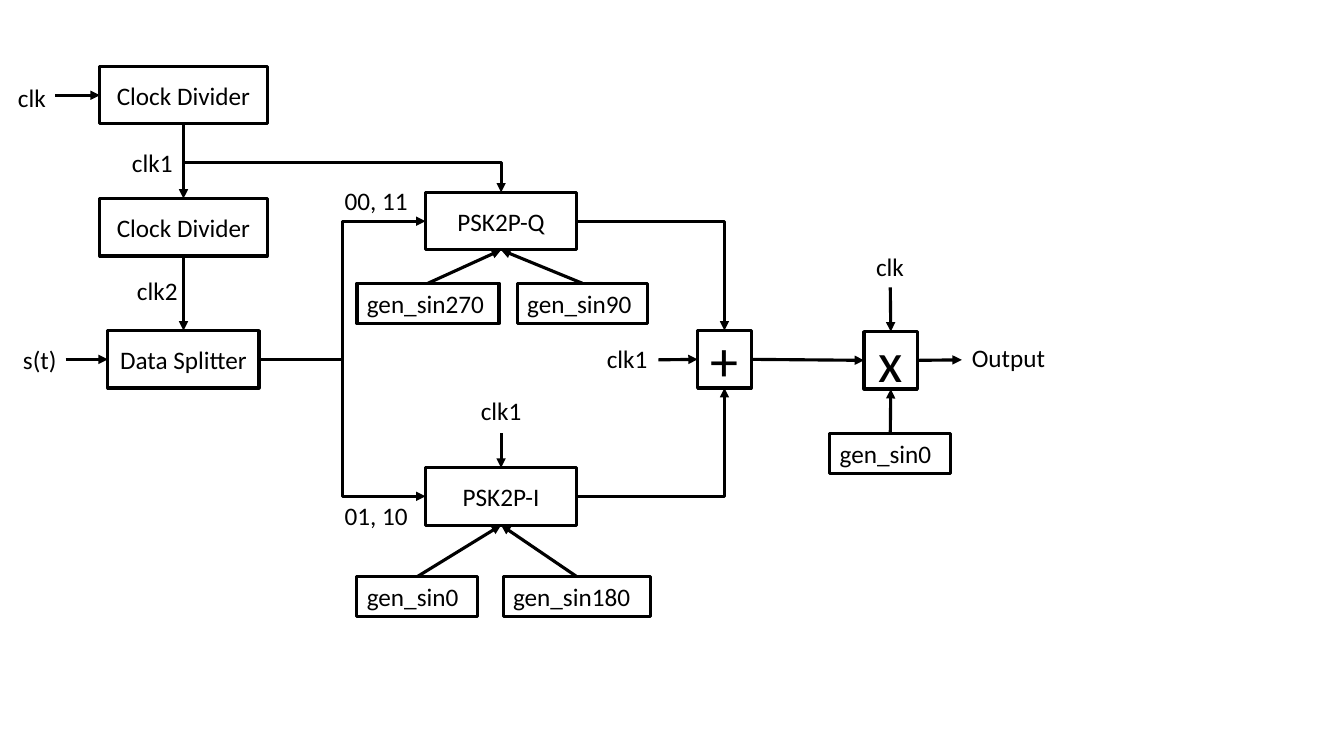
from lxml.etree import SubElement as Sub
from pptx import Presentation
from pptx.dml.color import RGBColor as Rgb
from pptx.enum.shapes import MSO_CONNECTOR as Kind, MSO_SHAPE as Form
from pptx.enum.text import MSO_ANCHOR as Anchor, MSO_AUTO_SIZE as Auto, PP_ALIGN as Align
from pptx.oxml.ns import qn
from pptx.util import Inches, Pt

HUES = {"ink": "000000", "paper": "FFFFFF"}
CELL = Inches(0.1)
TOP, LEFT, BASE, RIGHT = range(4)
SIDES = {TOP: (0.5, 0), LEFT: (0, 0.5), BASE: (0.5, 1), RIGHT: (1, 0.5)}
HIGH, LOW = 5.7, 4


def hue(name):
    return Rgb.from_string(HUES[name])


def grid(*cells):
    return [round(cell * CELL) for cell in cells]


def pen(line):
    line.color.rgb = hue("ink")
    line.width = Pt(2.25)


def write(frame, text, size=18, align=Align.LEFT):
    para = frame.paragraphs[0]
    para.text = text
    para.alignment = align
    para.font.name = "Calibri"
    para.font.size = Pt(size)
    para.font.color.rgb = hue("ink")


def block(slide, text, col, row, wide, size=18):
    box = slide.shapes.add_shape(Form.RECTANGLE, *grid(col, row, wide, HIGH))
    box.shadow.inherit = False
    box.fill.solid()
    box.fill.fore_color.rgb = hue("paper")
    pen(box.line)
    box.text_frame.vertical_anchor = Anchor.MIDDLE
    write(box.text_frame, text, size, Align.CENTER)
    return box


def label(slide, text, col, row, wide, wrap=False):
    box = slide.shapes.add_textbox(*grid(col, row, wide, LOW))
    box.text_frame.word_wrap = wrap
    box.text_frame.auto_size = Auto.SHAPE_TO_FIT_TEXT
    write(box.text_frame, text)
    return box


def tag(slide, text, col, row, wide):
    box = label(slide, text, col, row, wide, True)
    pen(box.line)
    return box


def spot(end):
    if isinstance(end[0], (int, float)):
        return grid(*end)
    box, side = end
    across, down = SIDES[side]
    return [round(box.left + across * box.width), round(box.top + down * box.height)]


def arrow(slide, start, stop, kind=Kind.STRAIGHT, form=None):
    link = slide.shapes.add_connector(kind, *spot(start), *spot(stop))
    for end, join in ((start, link.begin_connect), (stop, link.end_connect)):
        if not isinstance(end[0], (int, float)):
            join(*end)
    pen(link.line)
    props = link._element.spPr
    Sub(props.find(qn("a:ln")), qn("a:tailEnd"), type="triangle")
    Sub(props, qn("a:effectLst"))
    if form:
        props.find(qn("a:prstGeom")).set("prst", form)


def bend(slide, start, stop):
    arrow(slide, start, stop, Kind.ELBOW, "bentConnector2")


def main():
    deck = Presentation()
    deck.slide_width, deck.slide_height = Inches(13.33), Inches(7.5)
    slide = deck.slides.add_slide(deck.slide_layouts[6])

    first = block(slide, "Clock Divider", 9.9, 6.6, 16.6)
    second = block(slide, "Clock Divider", 9.9, 19.7, 16.6)
    split = block(slide, "Data Splitter", 10.7, 32.8, 15)
    quad = block(slide, "PSK2P-Q", 42.2, 19.1, 15)
    phase = block(slide, "PSK2P-I", 42.2, 46.4, 15)
    plus = block(slide, "+", 69.2, 32.8, 5.3, 40)
    times = block(slide, "x", 85.7, 32.9, 5.3, 40)

    tags = [
        ("gen_sin270", 35.4, 28.1, 14.1, TOP, quad),
        ("gen_sin90", 51.3, 28.1, 12.9, TOP, quad),
        ("gen_sin0", 35.4, 57.2, 12, TOP, phase),
        ("gen_sin180", 49.9, 57.2, 14.6, TOP, phase),
        ("gen_sin0", 82.3, 43, 12, TOP, times),
    ]
    for text, col, row, wide, side, goal in tags:
        arrow(slide, (tag(slide, text, col, row, wide), side), (goal, BASE))

    for text, col, row, wide, wrap in [
        ("clk", 0.8, 7.7, 4.8, False),
        ("clk1", 12.1, 14.1, 6.1, False),
        ("clk2", 12.6, 26.8, 6.1, False),
        ("s(t)", 1.3, 33.7, 5.4, False),
        ("00, 11", 33.2, 17.9, 9, True),
        ("01, 10", 33.2, 49.1, 9, True),
        ("clk1", 46.7, 38.7, 6.1, False),
        ("clk1", 59.2, 33.6, 6.1, True),
        ("clk", 85.9, 24.4, 4.8, False),
        ("Output", 95.4, 33.5, 9.4, False),
    ]:
        label(slide, text, col, row, wide, wrap)

    for start, stop in [
        ((5.5, 9.45), (first, LEFT)),
        ((first, BASE), (second, TOP)),
        ((second, BASE), (split, TOP)),
        ((6.5, 35.65), (split, LEFT)),
        ((49.7, 43), (phase, TOP)),
        ((65.3, 35.7), (plus, LEFT)),
        ((plus, RIGHT), (times, LEFT)),
        ((88.3, 28.5), (times, TOP)),
        ((times, RIGHT), (95.4, 35.7)),
    ]:
        arrow(slide, start, stop)

    bend(slide, (18.2, 16.1), (quad, TOP))
    for mod, side in ((quad, TOP), (phase, BASE)):
        arrow(slide, (split, RIGHT), (mod, LEFT), Kind.ELBOW)
        bend(slide, (mod, RIGHT), (plus, side))

    deck.save("out.pptx")


if __name__ == "__main__":
    main()
